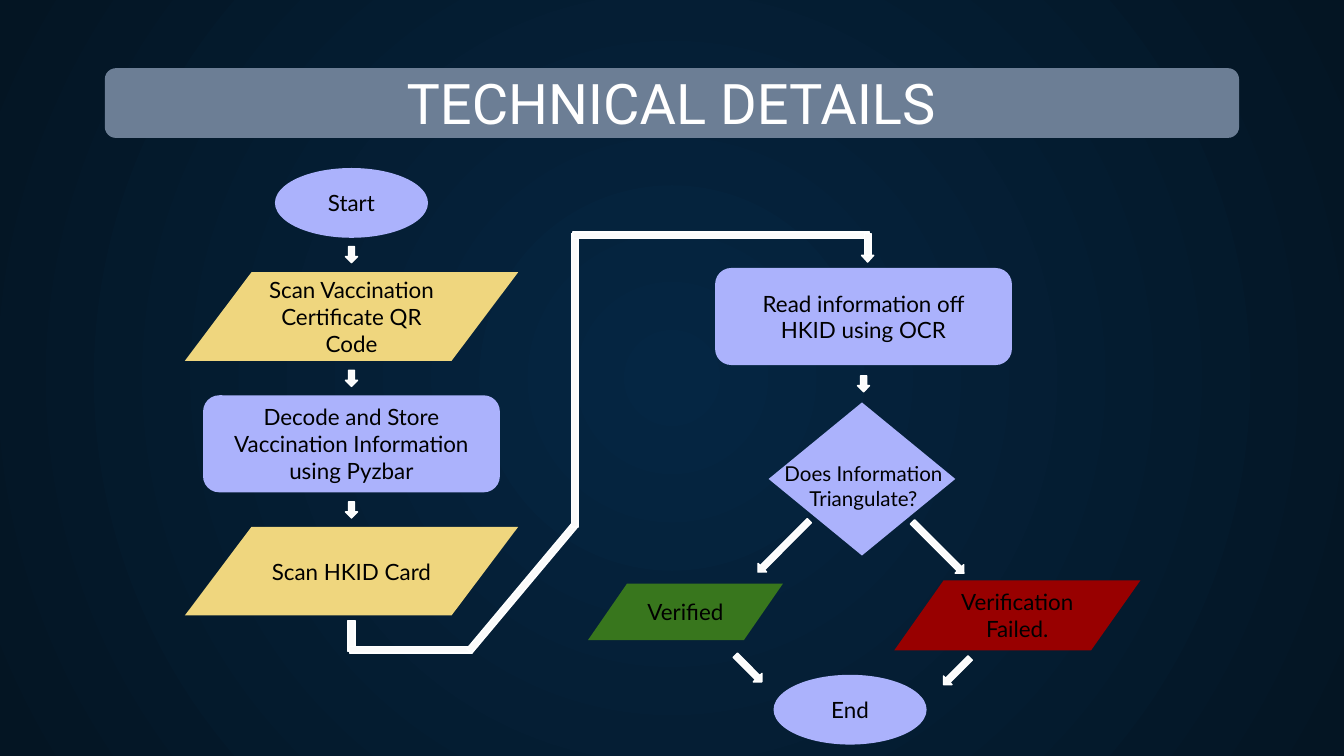
from itertools import pairwise
from math import atan2, degrees, hypot

from lxml import etree
from pptx import Presentation
from pptx.dml.color import RGBColor
from pptx.enum.shapes import MSO_SHAPE
from pptx.enum.text import MSO_ANCHOR, PP_ALIGN
from pptx.oxml import parse_xml
from pptx.oxml.ns import nsdecls, qn
from pptx.util import Pt

OVAL = MSO_SHAPE.OVAL
ROUNDED = MSO_SHAPE.ROUNDED_RECTANGLE
DATA = MSO_SHAPE.FLOWCHART_DATA
DECISION = MSO_SHAPE.FLOWCHART_DECISION
ARROW = MSO_SHAPE.RIGHT_ARROW
BAR = MSO_SHAPE.RECTANGLE
TRIANGLE = MSO_SHAPE.ISOSCELES_TRIANGLE
CENTER = PP_ALIGN.CENTER
TOP, MIDDLE, BOTTOM = MSO_ANCHOR.TOP, MSO_ANCHOR.MIDDLE, MSO_ANCHOR.BOTTOM

LILAC, YELLOW, GREEN, RED = "ABB2FC", "EFD67E", "38761D", "980000"
LEFT, RIGHT = 188.3, 462.6
OVAL_SIZE, PROCESS_SIZE, SCAN_SIZE = (82, 37.4), (159, 52), (178.6, 47.5)
THICKNESS = 3.6
INSET = 7.2

TITLE = {"text": "TECHNICAL DETAILS", "center": (359.6, 56.2), "size": (432.7, 47.5)}
QUESTION = {"text": "Does Information Triangulate?", "center": (RIGHT, 260.3), "size": (131.8, 41)}
STEPS = [
    ("Start", OVAL, LILAC, (LEFT, 108.7), OVAL_SIZE),
    ("Scan Vaccination Certificate QR Code", DATA, YELLOW, (LEFT, 169.6), SCAN_SIZE),
    ("Decode and Store Vaccination Information using Pyzbar", ROUNDED, LILAC, (LEFT, 237.8), PROCESS_SIZE),
    ("Scan HKID Card", DATA, YELLOW, (LEFT, 306), SCAN_SIZE),
    ("Read information off HKID using OCR", ROUNDED, LILAC, (RIGHT, 169.6), PROCESS_SIZE),
    ("", DECISION, LILAC, (461.8, 256.6), (100, 82)),
    ("Verified", DATA, GREEN, (367.2, 327.8), (104.4, 30.2)),
    ("Verification Failed.", DATA, RED, (545, 329.7), (131.8, 37.4)),
    ("End", OVAL, LILAC, (455.4, 380.2), OVAL_SIZE),
]
ARROWS = [
    ((LEFT, 136.4), 8.6, 90),
    ((LEFT, 202.7), 8.6, 90),
    ((LEFT, 273.2), 8.6, 90),
    ((RIGHT, 205.6), 8.6, 90),
    ((419.8, 292.7), 38.9, 135),
    ((502.6, 293.4), 38.9, 45),
    ((512.6, 359.6), 20.2, 135),
    ((401, 358.2), 20.2, 45),
]
ROUTE = [(LEFT, 333.4), (LEFT, 348.1), (252, 348.1), (307.8, 281.5),
         (307.8, 126), (464.8, 126), (464.8, 136.8)]
ROUTE_HEAD = (464.8, 138.6)


def color(value):
    return RGBColor.from_string(value)


def bounds(center, size):
    (x, y), (width, height) = center, size
    return [Pt(round(value, 2)) for value in (x - width / 2, y - height / 2, width, height)]


def add_shape(page, kind, center, size, fill, rotation=0):
    shape = page.shapes.add_shape(kind, *bounds(center, size))
    shape.shadow.inherit = False
    shape.fill.solid()
    shape.fill.fore_color.rgb = color(fill)
    shape.line.fill.background()
    shape.rotation = rotation
    return shape


def add_white(page, kind, center, size, rotation):
    shape = add_shape(page, kind, center, size, "FBFBFB", rotation)
    shape.line.color.rgb = color("FFFFFF")
    shape.line.width = Pt(0.75)


def write(box, text, size, anchor=MIDDLE, font="Lato", ink="000000"):
    frame = box.text_frame
    margins = {f"margin_{side}": Pt(INSET) for side in ("left", "right", "top", "bottom")}
    for name, value in {**margins, "word_wrap": True, "vertical_anchor": anchor}.items():
        setattr(frame, name, value)
    para = frame.paragraphs[0]
    para.alignment = CENTER
    span = para.add_run()
    span.text = text
    for name, value in {"name": font, "size": Pt(size)}.items():
        setattr(span.font, name, value)
    span.font.color.rgb = color(ink)


def set_background(page, inner, outer):
    page.background.fill.solid()
    properties = page.element.find(".//" + qn("p:bgPr"))
    gradient = parse_xml(f'<a:gradFill {nsdecls("a")} rotWithShape="1"/>')
    stops = etree.SubElement(gradient, qn("a:gsLst"))
    for position, value in ((0, inner), (100000, outer)):
        stop = etree.SubElement(stops, qn("a:gs"), pos=str(position))
        etree.SubElement(stop, qn("a:srgbClr"), val=value)
    circle = etree.SubElement(gradient, qn("a:path"), {"path": "circle"})
    etree.SubElement(circle, qn("a:fillToRect"), {side: "50000" for side in "ltrb"})
    properties.replace(properties[0], gradient)


def main():
    deck = Presentation()
    deck.slide_width, deck.slide_height = Pt(720), Pt(405)
    page = deck.slides.add_slide(deck.slide_layouts[6])
    set_background(page, "052643", "041523")

    banner = add_shape(page, ROUNDED, (360, 55.2), (607.7, 37.4), "6C7E95")
    banner.adjustments[0] = 0.16
    title = page.shapes.add_textbox(*bounds(TITLE["center"], TITLE["size"]))
    write(title, TITLE["text"], 30, BOTTOM, "Roboto", "FFFFFF")

    for text, kind, fill, center, size in STEPS:
        step = add_shape(page, kind, center, size, fill)
        if text:
            write(step, text, 12)
    question = page.shapes.add_textbox(*bounds(QUESTION["center"], QUESTION["size"]))
    write(question, QUESTION["text"], 11, TOP)

    for center, length, rotation in ARROWS:
        add_white(page, ARROW, center, (length, 6.5), rotation)
    for (x1, y1), (x2, y2) in pairwise(ROUTE):
        middle = ((x1 + x2) / 2, (y1 + y2) / 2)
        length = hypot(x2 - x1, y2 - y1) + THICKNESS / 2
        angle = round(degrees(atan2(y2 - y1, x2 - x1)), 2)
        add_white(page, BAR, middle, (length, THICKNESS), angle)
    add_white(page, TRIANGLE, ROUTE_HEAD, (6.5, THICKNESS), 180)

    deck.save("out.pptx")


if __name__ == "__main__":
    main()
